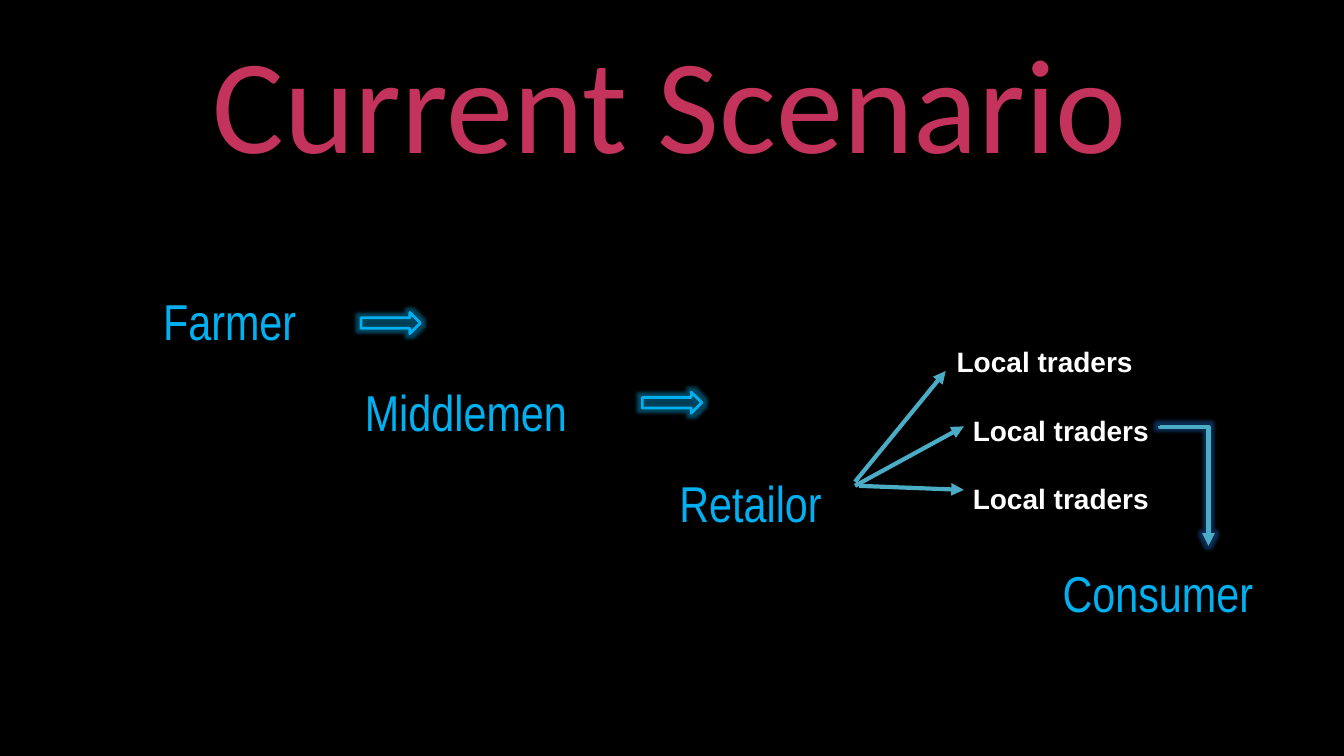
from dataclasses import dataclass

from lxml.etree import SubElement
from pptx import Presentation
from pptx.dml.color import RGBColor
from pptx.enum.shapes import MSO_CONNECTOR as CONNECTOR, MSO_SHAPE as SHAPE
from pptx.enum.text import MSO_ANCHOR as ANCHOR, MSO_AUTO_SIZE as AUTO_SIZE, PP_ALIGN as ALIGN
from pptx.oxml.ns import qn
from pptx.util import Inches, Pt


@dataclass(frozen=True)
class Theme:
    """Colours and text formats of the slide."""
    background = RGBColor.from_string("000000")
    outline = RGBColor.from_string("00B0F0")
    link = RGBColor.from_string("4BACC6")
    arrow_glow = "00B0F0"
    link_glow = "1F6FD0"
    title = {"name": "Calibri", "size": Pt(96), "bold": False, "color": "C4335C"}
    step = {"name": "Arial Narrow", "size": Pt(36), "bold": False, "color": "00B0F0"}
    trader = {"name": "Arial", "size": Pt(20), "bold": True, "color": "FFFFFF"}


def write_lines(shape, lines, font_format, paragraph_format):
    """Fill a text shape with (text, left indent in inches) lines."""
    frame = shape.text_frame
    frame.word_wrap = True
    frame.auto_size = AUTO_SIZE.NONE
    frame.vertical_anchor = ANCHOR.TOP
    for index, (text, indent) in enumerate(lines):
        paragraph = frame.add_paragraph() if index else frame.paragraphs[0]
        paragraph._p.get_or_add_pPr().set("marL", str(Inches(indent)))
        for name, value in paragraph_format.items():
            setattr(paragraph, name, value)
        if index == 0:
            paragraph.space_before = Pt(0)
        font = paragraph.add_run().font
        paragraph.runs[0].text = text
        for name, value in font_format.items():
            if name == "color":
                font.color.rgb = RGBColor.from_string(value)
            else:
                setattr(font, name, value)


def set_effect(shape, glow=None):
    """Replace the inherited shadow with a glow, or with no effect."""
    properties = shape._element.spPr
    for old in properties.findall(qn("a:effectLst")):
        properties.remove(old)
    effects = SubElement(properties, qn("a:effectLst"))
    if glow:
        halo = SubElement(effects, qn("a:glow"), rad=str(Pt(5)))
        color = SubElement(halo, qn("a:srgbClr"), val=glow)
        SubElement(color, qn("a:alpha"), val="40000")


theme = Theme()
presentation = Presentation()
presentation.slide_width = Inches(13.33)
presentation.slide_height = Inches(7.5)
slide = presentation.slides.add_slide(presentation.slide_layouts[5])
slide.background.fill.solid()
slide.background.fill.fore_color.rgb = theme.background
shapes = slide.shapes

title = shapes.title
title.left, title.top, title.width, title.height = map(Inches, (1.58, 0.14, 10.13, 1.7))
write_lines(title, [("Current Scenario", 0)], theme.title, {"alignment": ALIGN.CENTER})

# Supply chain, each step further right
steps = [("Farmer", 0), ("Middlemen", 2), ("Retailor", 5.12), ("Consumer", 8.92)]
step_box = shapes.add_textbox(*map(Inches, (1.52, 2.53, 11.3, 3.7)))
write_lines(step_box, steps, theme.step, {"line_spacing": 1.5})

for left, top in [(3.58, 3.1), (6.37, 3.89)]:
    arrow = shapes.add_shape(SHAPE.RIGHT_ARROW, *map(Inches, (left, top, 0.59, 0.21)))
    arrow.fill.background()
    arrow.line.color.rgb = theme.outline
    arrow.line.width = Pt(2)
    set_effect(arrow, theme.arrow_glow)

traders = [("Local traders", indent) for indent in (0.23, 0.39, 0.39)]
trader_box = shapes.add_textbox(*map(Inches, (9.16, 3.37, 3.04, 2.12)))
write_lines(trader_box, traders, theme.trader, {"space_before": Pt(25)})

# Retailor to traders, then traders to Consumer; the elbow is turned upright below
links = [
    (CONNECTOR.STRAIGHT, (8.48, 4.78, 9.38, 3.68)),
    (CONNECTOR.STRAIGHT, (8.48, 4.82, 9.56, 4.23)),
    (CONNECTOR.STRAIGHT, (8.52, 4.82, 9.56, 4.86)),
    (CONNECTOR.ELBOW, (12.34, 4.58, 11.15, 5.06)),
]
for kind, ends in links:
    link = shapes.add_connector(kind, *map(Inches, ends))
    link.line.color.rgb = theme.link
    link.line.width = Pt(3)
    SubElement(link.line._get_or_add_ln(), qn("a:tailEnd"), type="triangle")
    is_elbow = kind == CONNECTOR.ELBOW
    set_effect(link, theme.link_glow if is_elbow else None)
    if is_elbow:
        properties = link._element.spPr
        properties.find(qn("a:xfrm")).set("rot", str(270 * 60000))
        adjustments = properties.find(qn("a:prstGeom")).find(qn("a:avLst"))
        SubElement(adjustments, qn("a:gd"), name="adj1", fmla="val 700")

presentation.save("out.pptx")
